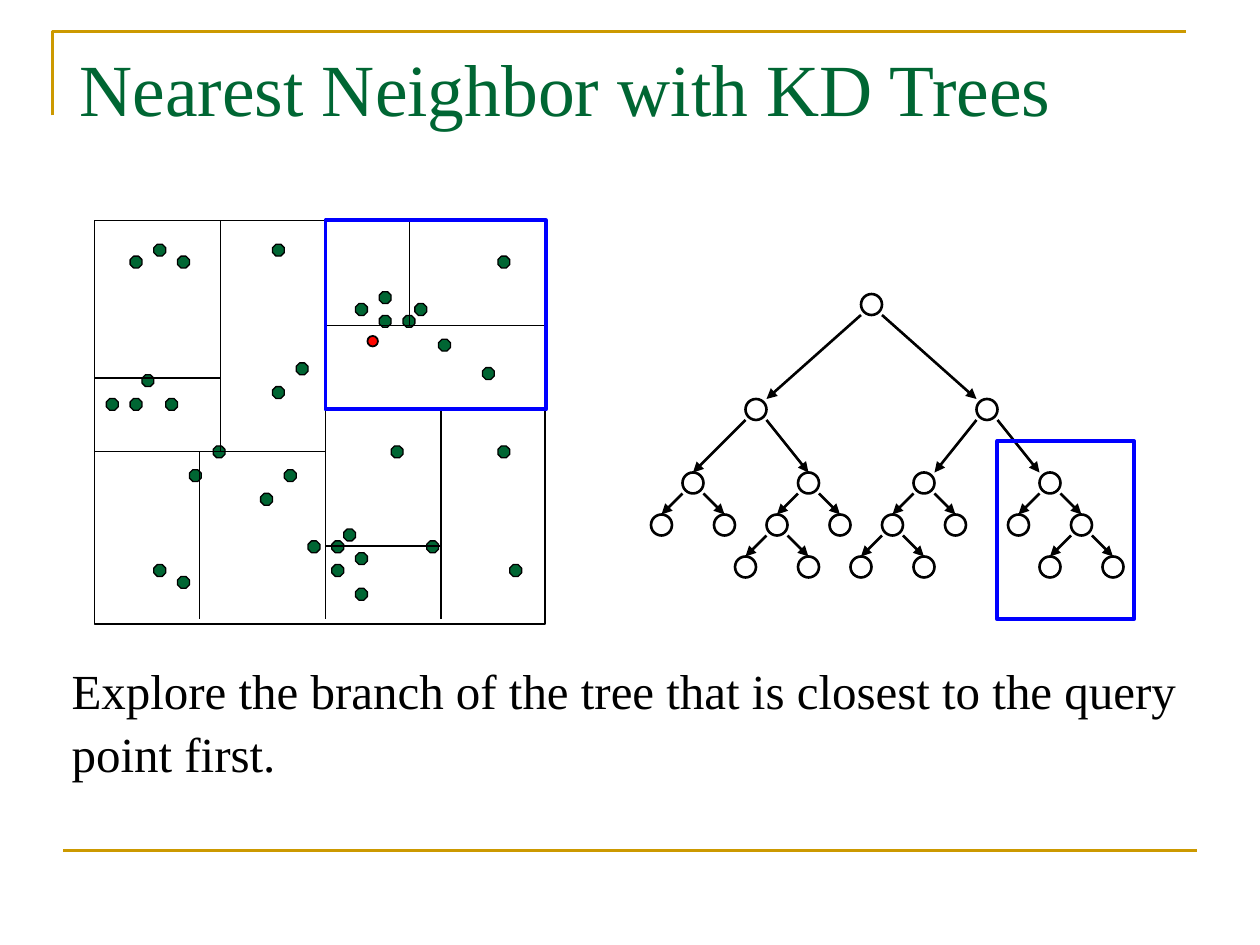
from dataclasses import dataclass

from lxml.etree import SubElement
from pptx import Presentation
from pptx.dml.color import RGBColor
from pptx.enum.shapes import MSO_CONNECTOR, MSO_SHAPE
from pptx.enum.text import MSO_ANCHOR, MSO_AUTO_SIZE, PP_ALIGN
from pptx.oxml.ns import qn
from pptx.util import Inches, Pt


@dataclass(frozen=True)
class Theme:
    font: str = "Times New Roman"
    title_size: float = 42
    body_size: float = 28
    line_spacing: float = 1.06
    green: str = "006633"
    gold: str = "CC9900"
    black: str = "000000"
    blue: str = "0000FF"
    red: str = "FF0600"


@dataclass(frozen=True)
class Node:
    column: float
    row: float
    children: tuple = ()
    corner_landing: bool = False  # arrows end at the child's facing corner


def grid(cells):
    """The page is 120 columns by 90 rows, twelve to the inch."""
    return Inches(cells / 12)


class Slide:
    def __init__(self, deck, theme):
        self.page = deck.slides.add_slide(deck.slide_layouts[5])
        self.theme = theme

    def outline(self, item, color, width):
        item.line.color.rgb = RGBColor.from_string(color)
        item.line.width = Pt(width)

    def fill_text(self, box, text, size, color, top_inset):
        frame = box.text_frame
        frame.word_wrap = True
        frame.vertical_anchor = MSO_ANCHOR.TOP
        frame.margin_left = frame.margin_right = Inches(0.1)
        frame.margin_top, frame.margin_bottom = Inches(top_inset), Inches(0.05)
        para = frame.paragraphs[0]
        para.alignment = PP_ALIGN.LEFT
        para.line_spacing = self.theme.line_spacing
        span = para.add_run()
        span.text = text
        span.font.name, span.font.size = self.theme.font, Pt(size)
        span.font.color.rgb = RGBColor.from_string(color)
        return frame

    def title(self, text, column, row, width, height):
        box = self.page.shapes.title
        box.left, box.top = grid(column), grid(row)
        box.width, box.height = grid(width), grid(height)
        frame = self.fill_text(box, text, self.theme.title_size, self.theme.green, 0.08)
        frame.auto_size = MSO_AUTO_SIZE.NONE

    def body(self, text, column, row, width, height):
        box = self.page.shapes.add_textbox(
            grid(column), grid(row), grid(width), grid(height))
        frame = self.fill_text(box, text, self.theme.body_size, self.theme.black, 0.05)
        frame.auto_size = MSO_AUTO_SIZE.SHAPE_TO_FIT_TEXT

    def shape(self, kind, column, row, width, height, line, weight, fill=None):
        item = self.page.shapes.add_shape(
            kind, grid(column), grid(row), grid(width), grid(height))
        item.shadow.inherit = False
        if fill:
            item.fill.solid()
            item.fill.fore_color.rgb = RGBColor.from_string(fill)
        else:
            item.fill.background()
        self.outline(item, line, weight)

    def line(self, start, end, color, weight, arrow=False):
        item = self.page.shapes.add_connector(
            MSO_CONNECTOR.STRAIGHT, *map(grid, (*start, *end)))
        self.outline(item, color, weight)
        properties = item.element.spPr
        if arrow:
            SubElement(properties.find(qn("a:ln")), qn("a:tailEnd"), type="triangle")
        SubElement(properties, qn("a:effectLst"))

    def path_line(self, points, color, weight):
        builder = self.page.shapes.build_freeform(*map(grid, points[0]), scale=1.0)
        builder.add_line_segments(
            [tuple(map(grid, point)) for point in points[1:]], close=False)
        item = builder.convert_to_shape()
        item.shadow.inherit = False
        item.fill.background()
        self.outline(item, color, weight)

    def tree(self, node):
        black = self.theme.black
        self.shape(MSO_SHAPE.OVAL, node.column, node.row, 2, 2, black, 1.5)
        for side, child in enumerate(node.children):
            landing = 2 - 2 * side if node.corner_landing else 1
            self.line((node.column + 2 * side, node.row + 2),
                      (child.column + landing, child.row), black, 1.5, arrow=True)
            self.tree(child)


# Space partition: area and points share one fine pitch
AREA_LEFT, AREA_TOP, PITCH = 9, 21, 1.13
POINTS_BY_ROW = {
    2: (5, 15), 3: (3, 7, 34), 6: (24,), 7: (22, 27), 8: (24, 26),
    10: (29,), 12: (17,), 12.4: (32.7,), 13: (4,), 14: (15,), 15: (1, 3, 6),
    19: (10, 25, 34), 21: (8, 16), 23: (14,), 26: (21,), 27: (18, 20, 28),
    28: (22,), 29: (5, 20, 35), 30: (7,), 31: (22,),
}
SPLITS = [
    ((31, 21), (31, 59)), ((31, 39), (52, 39)), ((42, 39), (42, 59)),
    ((31, 52), (42, 52)), ((9, 43), (31, 43)), ((21, 43), (21, 21)),
    ((31, 31), (52, 31)), ((39, 21), (39, 31)), ((19, 43), (19, 59)),
    ((9, 36), (21, 36)),
]


def leaf_pair(column, row):
    return Node(column, row), Node(column + 6, row)


# Search tree
TREE = Node(82, 28, (
    Node(71, 38, (
        Node(65, 45, leaf_pair(62, 49)),
        Node(76, 45, (Node(73, 49, leaf_pair(70, 53)), Node(79, 49))),
    )),
    Node(93, 38, (
        Node(87, 45, (Node(84, 49, leaf_pair(81, 53)), Node(90, 49))),
        Node(99, 45, (Node(96, 49), Node(102, 49, leaf_pair(99, 53)))),
    ), corner_landing=True),
), corner_landing=True)


def main():
    deck = Presentation()
    deck.slide_width, deck.slide_height = grid(120), grid(90)
    theme = Theme()
    slide = Slide(deck, theme)

    # Page frame
    slide.path_line([(5, 11), (5, 3), (113, 3)], theme.gold, 1.5)
    slide.line((6, 81), (114, 81), theme.gold, 1.5)

    # Points and dividing lines
    for row, columns in POINTS_BY_ROW.items():
        for column in columns:
            slide.shape(MSO_SHAPE.OCTAGON, AREA_LEFT + column * PITCH,
                        AREA_TOP + row * PITCH, PITCH, PITCH,
                        theme.black, 0.75, theme.green)
    slide.shape(MSO_SHAPE.RECTANGLE, AREA_LEFT, AREA_TOP,
                38 * PITCH, 34 * PITCH, theme.black, 1)
    for start, end in SPLITS:
        slide.line(start, end, theme.black, 1)

    slide.tree(TREE)

    # Query point, with its region and branch
    slide.shape(MSO_SHAPE.OVAL, 35, 32, 1, 1, theme.black, 1, theme.red)
    for region in ((31, 21, 21, 18), (95, 42, 13, 17)):
        slide.shape(MSO_SHAPE.RECTANGLE, *region, theme.blue, 2.25)

    # Wording
    slide.body("Explore the branch of the tree that is closest to the query point first.",
               5.64, 62, 111.36, 12.5)
    slide.title("Nearest Neighbor with KD Trees", 6.36, 2.64, 111.36, 15)
    deck.save("out.pptx")


if __name__ == "__main__":
    main()
